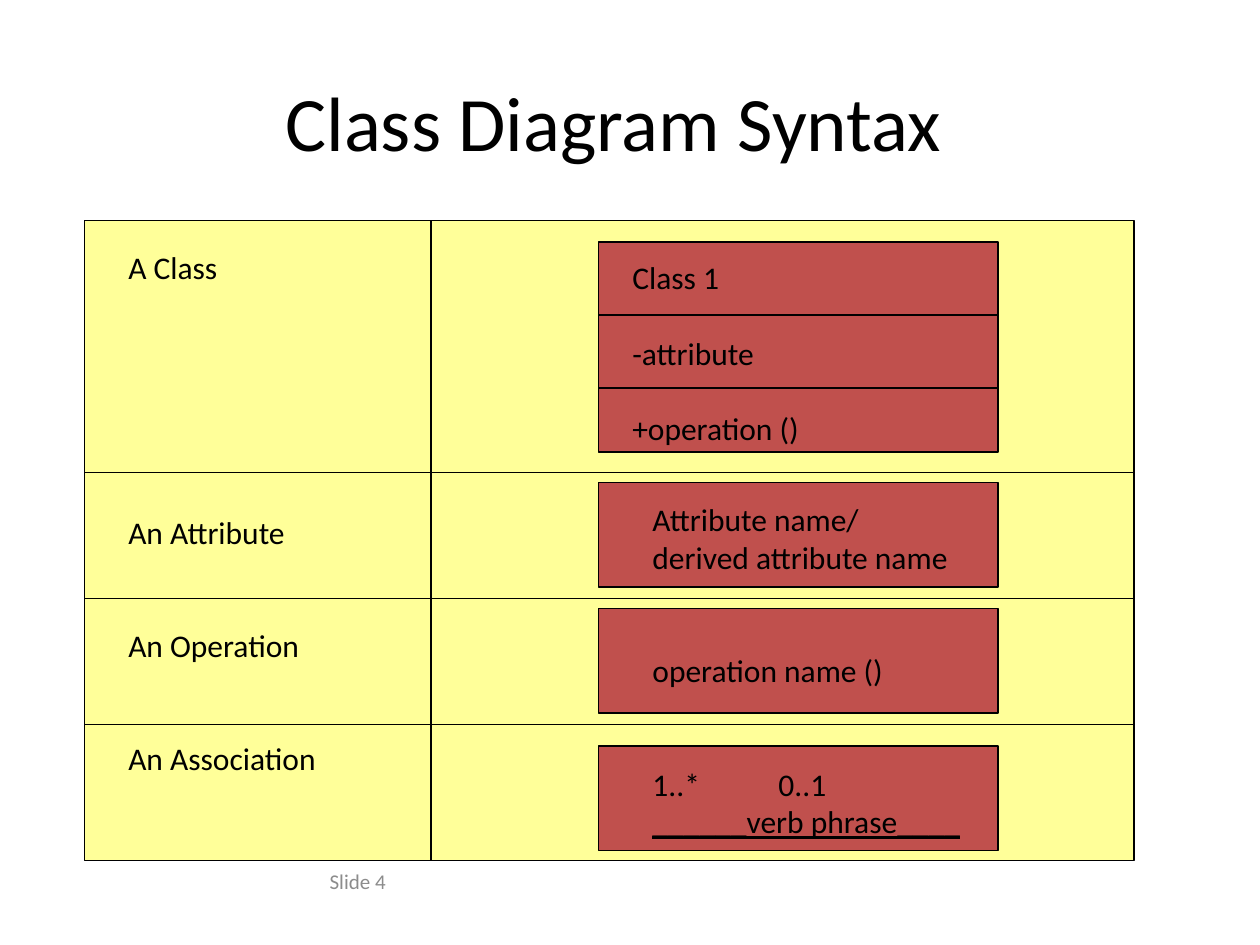
from dataclasses import dataclass

from lxml import etree
from pptx import Presentation
from pptx.dml.color import RGBColor
from pptx.enum.shapes import MSO_CONNECTOR, MSO_SHAPE
from pptx.enum.text import MSO_ANCHOR, PP_ALIGN
from pptx.oxml.ns import qn
from pptx.util import Inches, Pt

RECT = MSO_SHAPE.RECTANGLE
STRAIGHT = MSO_CONNECTOR.STRAIGHT
TOP, MIDDLE = MSO_ANCHOR.TOP, MSO_ANCHOR.MIDDLE
LEFT, CENTER, RIGHT = PP_ALIGN.LEFT, PP_ALIGN.CENTER, PP_ALIGN.RIGHT

BLACK = RGBColor(0x00, 0x00, 0x00)
GRAY = RGBColor(0x8C, 0x8C, 0x8C)
YELLOW = RGBColor(0xFF, 0xFF, 0x99)
RED = RGBColor(0xC0, 0x50, 0x4D)

BODY_FONT = {"name": "Calibri", "size": Pt(18)}
TITLE_FONT = {"name": "Calibri", "size": Pt(44)}
FOOTER_FONT = {"name": "Calibri", "size": Pt(12)}


@dataclass
class Box:
    x: float
    y: float
    w: float
    h: float
    fill: RGBColor = RED


@dataclass
class Rule:
    x1: float
    y1: float
    x2: float
    y2: float


@dataclass
class Label:
    x: float
    y: float
    w: float
    lines: tuple[str, ...]


PANEL = Box(0.67, 1.75, 8.33, 5.08, YELLOW)
PANEL_RIGHT = PANEL.x + PANEL.w
COLUMN_X = 3.42
ROW_TOPS = (3.75, 4.75, 5.75)

CLASS_BOX = Box(4.75, 1.92, 3.17, 1.67)
SYNTAX_BOXES = [CLASS_BOX] + [
    Box(CLASS_BOX.x, y, CLASS_BOX.w, 0.83) for y in (3.83, 4.83, 5.92)
]

RULES = [Rule(COLUMN_X, PANEL.y, COLUMN_X, PANEL.y + PANEL.h)]
RULES += [Rule(PANEL.x, y, PANEL_RIGHT, y) for y in ROW_TOPS]
RULES += [
    Rule(CLASS_BOX.x, y, CLASS_BOX.x + CLASS_BOX.w, y) for y in (2.5, 3.08)
]

LABELS = [
    Label(0.92, 1.92, 2.4, ("A Class",)),
    Label(0.92, 4.02, 2.4, ("An Attribute",)),
    Label(0.92, 4.92, 2.4, ("An Operation",)),
    Label(0.92, 5.82, 2.4, ("An Association",)),
    Label(4.92, 2.0, 2.5, ("Class 1",)),
    Label(4.92, 2.6, 2.5, ("-attribute",)),
    Label(4.92, 3.2, 2.5, ("+operation ()",)),
    Label(5.08, 3.92, 2.88, ("Attribute name/", "derived attribute name")),
    Label(5.08, 5.12, 2.88, ("operation name ()",)),
    Label(5.08, 6.02, 2.88, ("1..*\t\t0..1",)),
]
VERB_PHRASE = Label(5.08, 6.32, 2.88, ("______verb phrase____",))


def write(tf, lines: tuple[str, ...], font: dict, color=BLACK,
          align=LEFT, anchor=TOP) -> None:
    tf.word_wrap = True
    tf.vertical_anchor = anchor
    for i, line in enumerate(lines):
        p = tf.paragraphs[0] if i == 0 else tf.add_paragraph()
        p.alignment = align
        r = p.add_run()
        r.text = line
        for attr, value in font.items():
            setattr(r.font, attr, value)
        r.font.color.rgb = color


def draw_box(s, box: Box) -> None:
    sp = s.shapes.add_shape(
        RECT, Inches(box.x), Inches(box.y), Inches(box.w), Inches(box.h))
    sp.shadow.inherit = False
    sp.fill.solid()
    sp.fill.fore_color.rgb = box.fill
    sp.line.color.rgb = BLACK
    sp.line.width = Pt(1)


def draw_rule(s, rule: Rule) -> None:
    cxn = s.shapes.add_connector(
        STRAIGHT, Inches(rule.x1), Inches(rule.y1),
        Inches(rule.x2), Inches(rule.y2))
    cxn.line.color.rgb = BLACK
    cxn.line.width = Pt(1)
    etree.SubElement(cxn._element.spPr, qn("a:effectLst"))


def draw_label(s, label: Label, font: dict, **layout) -> None:
    sp = s.shapes.add_textbox(
        Inches(label.x), Inches(label.y), Inches(label.w),
        Inches(0.1 + 0.3 * len(label.lines)))
    write(sp.text_frame, label.lines, font, **layout)


def main() -> None:
    prs = Presentation()
    prs.slide_width, prs.slide_height = Inches(10), Inches(7.5)
    s = prs.slides.add_slide(prs.slide_layouts[5])

    title = s.shapes.title
    title.left, title.top = Inches(0.62), Inches(0.33)
    title.width, title.height = Inches(8.5), Inches(1.25)
    write(title.text_frame, ("Class Diagram Syntax",), TITLE_FONT,
          align=CENTER, anchor=MIDDLE)

    for box in [PANEL] + SYNTAX_BOXES:
        draw_box(s, box)
    for rule in RULES:
        draw_rule(s, rule)
    for label in LABELS:
        draw_label(s, label, BODY_FONT)
    draw_label(s, VERB_PHRASE, BODY_FONT | {"underline": True})
    draw_label(s, Label(1.08, 6.79, 2.08, ("Slide 4",)), FOOTER_FONT,
               color=GRAY, align=RIGHT, anchor=MIDDLE)

    prs.save("out.pptx")


if __name__ == "__main__":
    main()
